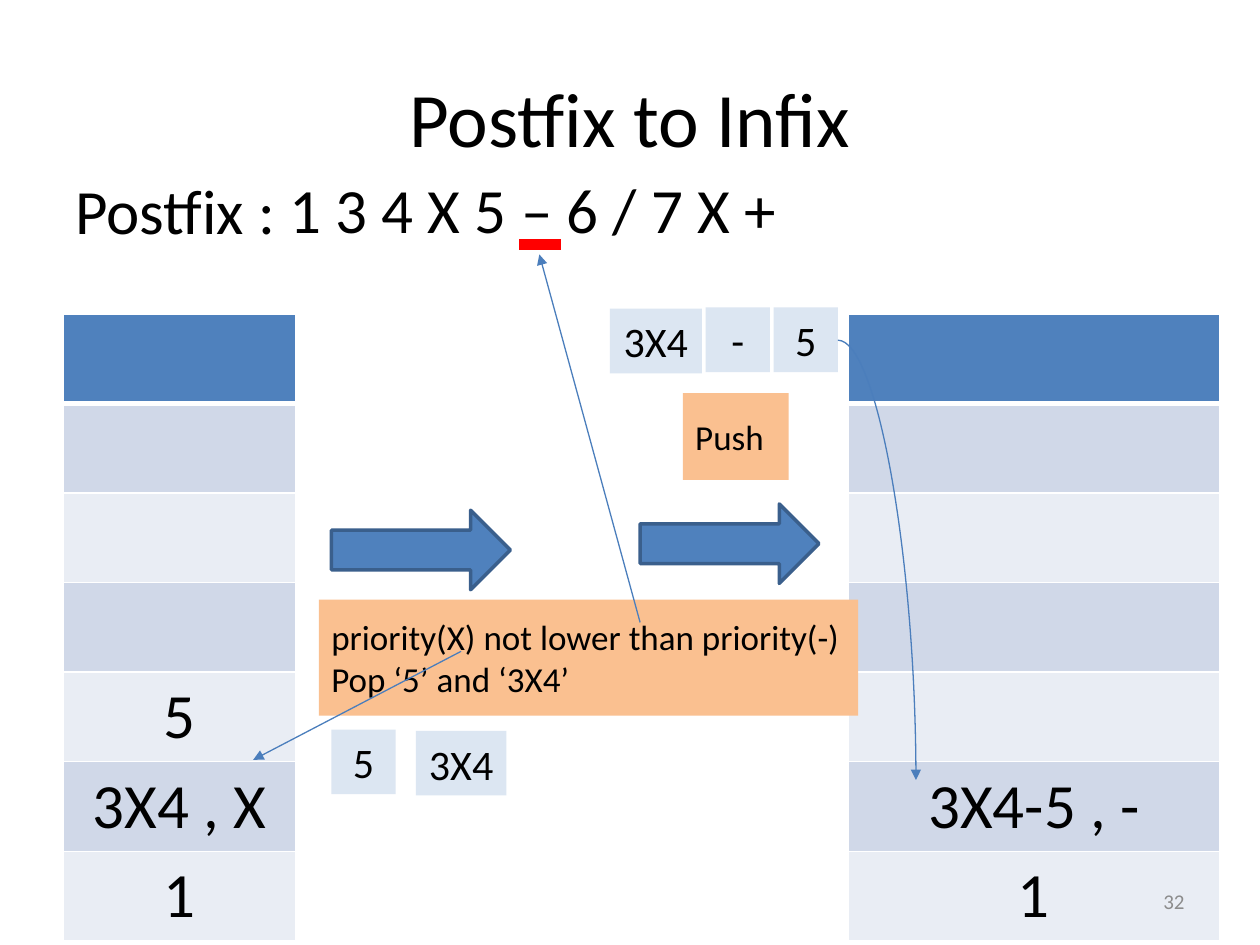
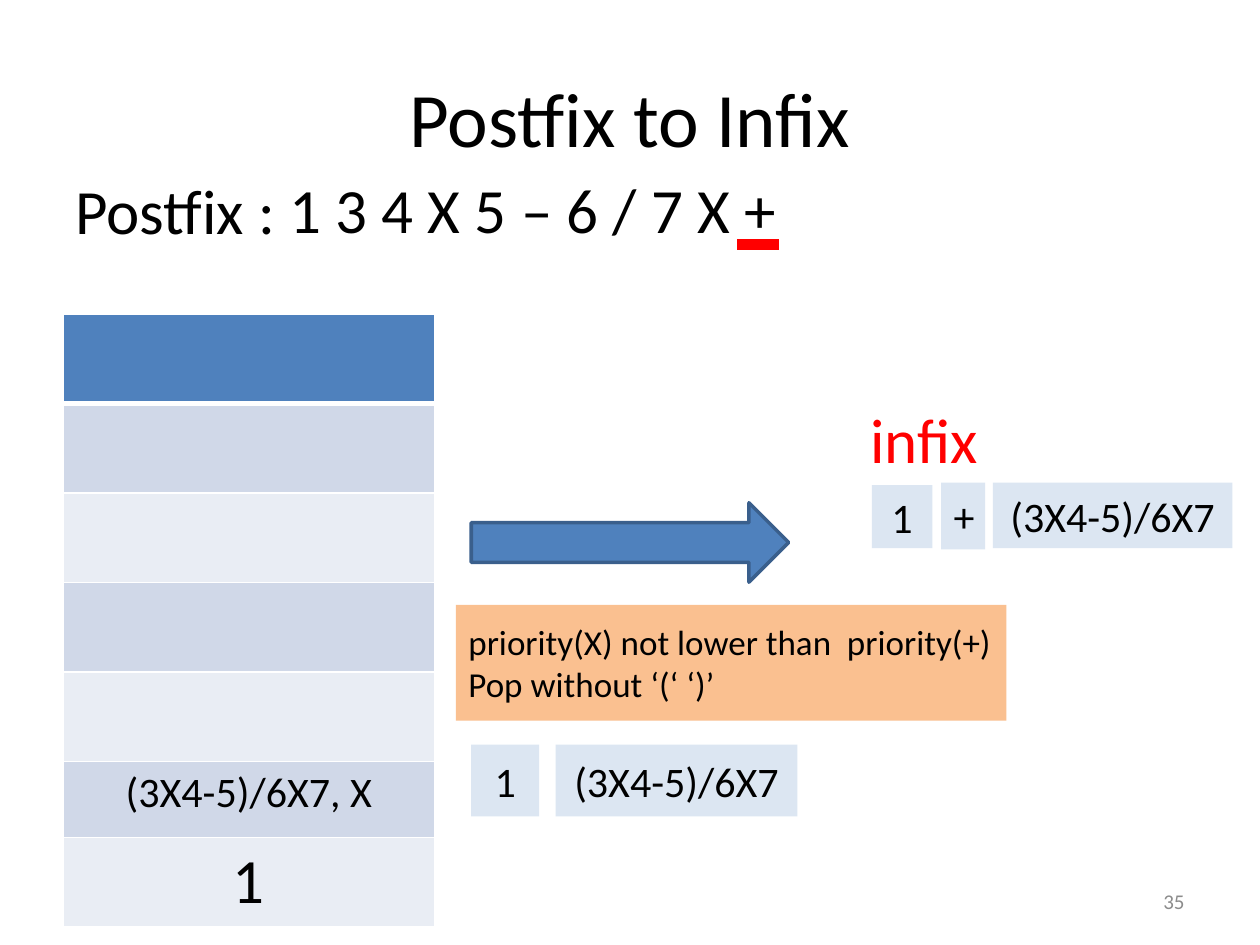
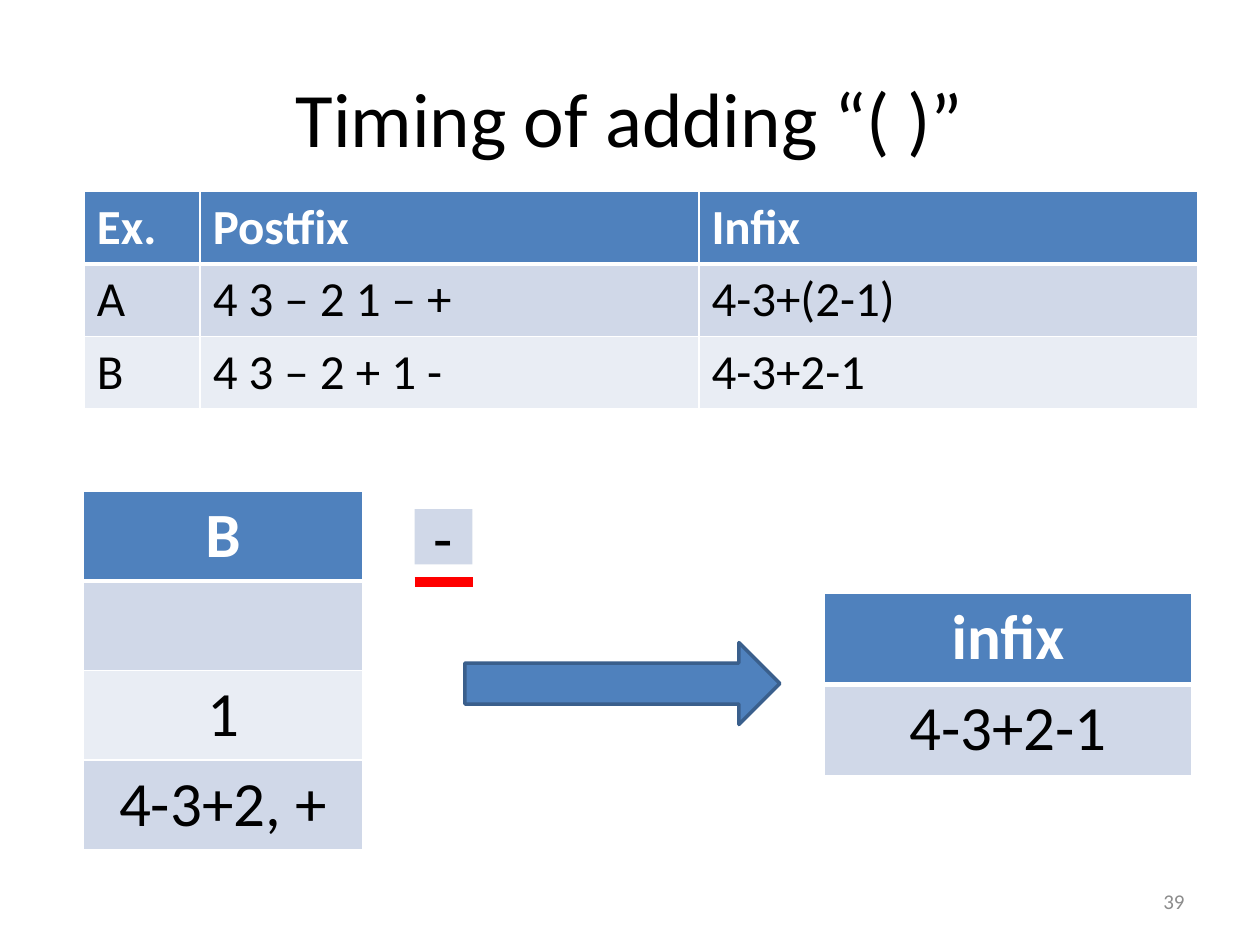
from lxml import etree
from pptx import Presentation
from pptx.dml.color import RGBColor
from pptx.enum.shapes import MSO_CONNECTOR, MSO_SHAPE
from pptx.enum.text import MSO_ANCHOR, PP_ALIGN
from pptx.oxml.ns import qn
from pptx.util import Pt

LEFT, MID, RIGHT = PP_ALIGN.LEFT, PP_ALIGN.CENTER, PP_ALIGN.RIGHT
TOP, CENTER = MSO_ANCHOR.TOP, MSO_ANCHOR.MIDDLE
RECT, ARROW = MSO_SHAPE.RECTANGLE, MSO_SHAPE.RIGHT_ARROW
LINE, CURVE = MSO_CONNECTOR.STRAIGHT, MSO_CONNECTOR.CURVE

FONT = "Calibri"
COLORS = {
    "ink": "000000", "white": "FFFFFF", "grey": "8C8C8C", "red": "FF0000",
    "blue": "4F81BD", "edge": "3A5F8C", "wire": "4B7EBC",
    "odd": "D0D8E8", "even": "E9EDF4", "token": "DCE6F2", "note": "FAC090",
}
RGB = {name: RGBColor.from_string(code) for name, code in COLORS.items()}


def box(slide, at, text="", size=24, fill=None, kind=RECT, align=MID,
        anchor=CENTER, color="ink"):
    """Add a text box, or a filled shape when a fill is named."""
    place = [Pt(n) for n in at]
    if fill:
        shape = slide.shapes.add_shape(kind, *place)
        shape.shadow.inherit = False
        shape.fill.solid()
        shape.fill.fore_color.rgb = RGB[fill]
        if kind == ARROW:
            shape.line.color.rgb = RGB["edge"]
            shape.line.width = Pt(2)
        else:
            shape.line.fill.background()
    else:
        shape = slide.shapes.add_textbox(*place)
    frame = shape.text_frame
    frame.word_wrap = True
    frame.vertical_anchor = anchor
    frame.text = text
    for par in frame.paragraphs:
        par.alignment = align
        for run in par.runs:
            run.font.name = FONT
            run.font.size = Pt(size)
            run.font.color.rgb = RGB[color]


def grid(slide, left, top, widths, high, rows, size=36, align=MID, small=None):
    """Add a banded table; small maps a row to its own height and text size."""
    sizes = [(small or {}).get(r, (high, size)) for r in range(len(rows))]
    total = sum(h for h, _ in sizes)
    table = slide.shapes.add_table(len(rows), len(widths), Pt(left), Pt(top),
                                   Pt(sum(widths)), Pt(total)).table
    for col, wide in zip(table.columns, widths):
        col.width = Pt(wide)
    for r, row in enumerate(rows):
        table.rows[r].height = Pt(sizes[r][0])
        for c, text in enumerate(row):
            cell = table.cell(r, c)
            cell.text = text
            par = cell.text_frame.paragraphs[0]
            par.alignment = align
            for run in par.runs:
                run.font.name = FONT
                run.font.size = Pt(sizes[r][1])
                run.font.bold = r == 0
                run.font.color.rgb = RGB["ink" if r else "white"]
            # Borders come before the fill in the cell properties.
            props = cell._tc.get_or_add_tcPr()
            for side in "LRTB":
                thick = (r, side) in ((0, "B"), (1, "T"))
                edge = etree.SubElement(props, qn("a:ln" + side),
                                        w=str(Pt(3 if thick else 1)))
                paint = etree.SubElement(edge, qn("a:solidFill"))
                etree.SubElement(paint, qn("a:srgbClr"), val=COLORS["white"])
            cell.fill.solid()
            band = "blue" if r == 0 else "odd" if r % 2 else "even"
            cell.fill.fore_color.rgb = RGB[band]


deck = Presentation()
deck.slide_width, deck.slide_height = Pt(720), Pt(540)

# Parts shared by all slides: title, red mark, and the postfix line.
PAGES = [
    ("Postfix to Infix", (296.6, 320.4, 139.7), True),
    ("Postfix to Infix", (421.2, 445, 139.7), True),
    ("Timing of adding “( )”", (236.9, 270, 332.6), False),
]
slides = []
for title, (start, end, level), source in PAGES:
    slide = deck.slides.add_slide(deck.slide_layouts[6])
    slides.append(slide)
    if source:
        box(slide, (158.4, 93.6, 453, 51), "1 3 4 X 5 – 6 / 7 X +", 36,
            align=LEFT, anchor=TOP)
        box(slide, (36, 94.3, 264, 51), "Postfix :", 36, align=LEFT, anchor=TOP)
    box(slide, (36, 21.6, 648, 90), title, 44)
first, second, third = slides

# Slide 1: pop two tokens, push the joined term.
STACK = 179.3
ROW = 51.2
grid(first, 36, STACK, [133.2], ROW,
     [[t] for t in ("", "", "", "", "5", "3X4 , X", "1")])
grid(first, 484.6, STACK, [212.4], ROW,
     [[t] for t in ("", "", "", "", "", "3X4-5 , -", "1")])
for at in ((365.8, 288, 102.2, 45.4), (189.4, 291.6, 102.2, 45.4)):
    box(first, at, fill="blue", kind=ARROW)
box(first, (182.2, 342.7, 308.2, 66.2),
    "priority(X) not lower than priority(-)\nPop ‘5’ and ‘3X4’", 20, "note",
    align=LEFT)
box(first, (390.2, 224.6, 60.5, 49.7), "Push", 20, "note", align=LEFT)
for text, left, top, wide in (
        ("5", 189.4, 416.9, 36.7), ("3X4", 237.6, 417.6, 51.8),
        ("3X4", 348.5, 176.4, 52.6), ("-", 403.2, 175.7, 36.7),
        ("5", 442.1, 175.7, 36.7)):
    box(first, (left, top, wide, 37), text, fill="token")

# Slide 2: the last operator gives the infix result.
grid(second, 36, STACK, [212.4], ROW,
     [[t] for t in ("", "", "", "", "", "(3X4-5)/6X7, X", "1")],
     small={5: (43.2, 24)})
box(second, (269.3, 287.3, 181.4, 45.4), fill="blue", kind=ARROW)
box(second, (260.6, 345.6, 314.6, 66.2),
    "priority(X) not lower than  priority(+)\nPop without ‘(‘ ‘)’", 20, "note",
    align=LEFT)
for text, *at in (
        ("1", 269.3, 425.5, 38.9, 41), ("(3X4-5)/6X7", 317.5, 425.5, 138.2, 41),
        ("1", 498.2, 277.2, 34.6, 36), ("+", 537.8, 275.8, 25.2, 38.2),
        ("(3X4-5)/6X7", 567.4, 275.8, 136.8, 37.4)):
    box(second, at, text, fill="token")
box(second, (490.3, 225.4, 90, 51), "infix", 36, align=LEFT, anchor=TOP,
    color="red")

# Slide 3: two examples, and the stack of example B.
grid(third, 48.2, 109.4, [66.2, 285, 285], 41.4, [
    ("Ex.", "Postfix", "Infix"),
    ("A", "4 3 – 2 1 – +", "4-3+(2-1)"),
    ("B", "4 3 – 2 + 1 -", "4-3+2-1"),
], 28, LEFT)
grid(third, 47.5, 280.8, [159.8], ROW, [["B"], [""], ["1"], ["4-3+2, +"]])
grid(third, 470.9, 339.1, [210.2], 52, [["infix"], ["4-3+2-1"]])
box(third, (236.9, 290.9, 33.1, 31.7), "-", 36, "odd")
box(third, (265.7, 367.2, 180, 46.8), fill="blue", kind=ARROW)

# Red marks and thin arrows lie over the other parts.
wires = [(slide, LINE, (start, level, end, level), "red")
         for slide, (_, (start, end, level), _) in zip(slides, PAGES)]
wires += [
    (first, CURVE, (478.8, 194.4, 523.4, 445.7), "wire"),
    (first, LINE, (263.5, 372.2, 144.7, 434.2), "wire"),
    (first, LINE, (365.8, 355.7, 308.2, 145.4), "wire"),
]
for slide, kind, ends, color in wires:
    wire = slide.shapes.add_connector(kind, *[Pt(n) for n in ends])
    wire.line.color.rgb = RGB[color]
    wire.line.width = Pt(6 if color == "red" else 0.75)
    props = wire._element.spPr
    if color == "wire":
        etree.SubElement(wire.line._get_or_add_ln(), qn("a:tailEnd"),
                         type="triangle")
    if kind == CURVE:
        props.find(qn("a:prstGeom")).set("prst", "curvedConnector2")
    etree.SubElement(props, qn("a:effectLst"))

for slide, page in zip(slides, ("32", "35", "39")):
    box(slide, (516, 500.4, 168, 28.8), page, 12, align=RIGHT, color="grey")

deck.save("out.pptx")
